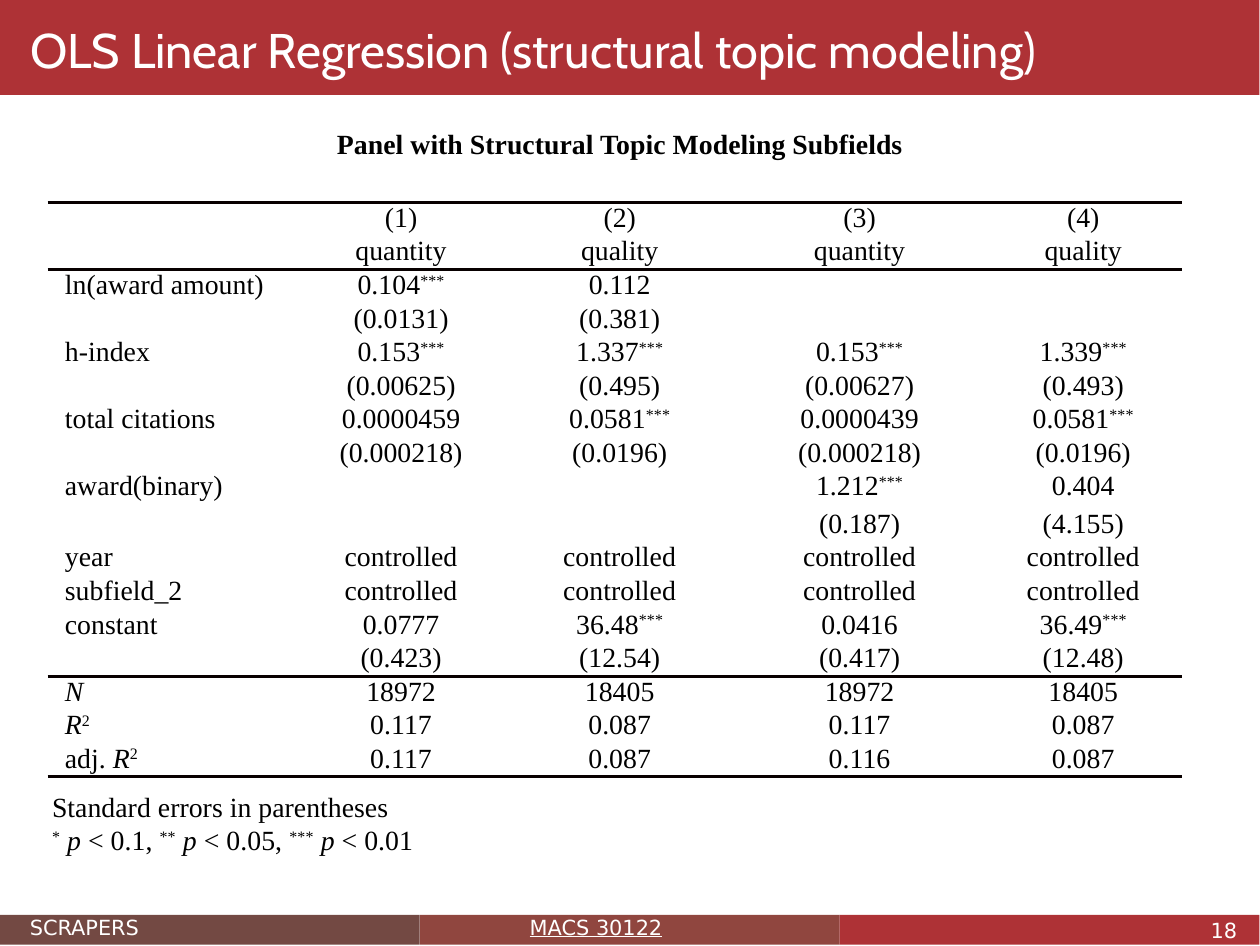
from lxml import etree
from pptx import Presentation
from pptx.dml.color import RGBColor
from pptx.enum import shapes, text
from pptx.oxml.ns import qn
from pptx.util import Inches, Pt

WHITE, BLACK, RULE, RED = "FFFFFF", "000000", "080000", "AE3236"
SERIF, SANS, TITLE_FONT = "Times New Roman", "DejaVu Sans", "Cabin"
NO_GRID_STYLE = "{2D5ABB26-0587-4C30-8999-92F81FD0307C}"
FOOTER_FILLS = ["734943", "90463F", RED]
COLUMN_WIDTHS = [1, 0.83, 0.92, 1, 0.79]
ROW_HEIGHT, TALL_ROW_HEIGHT, TALL_ROW = 2.15 / 16, 0.15, 8
RULED_ROWS = [0, 2, 14, 17]
RAISED, ITALIC, BREAK = "^", "/", "|"

CONTROLLED = ["controlled"] * 4
RESULTS = [
    ["", "(1)", "(2)", "(3)", "(4)"],
    ["", "quantity", "quality", "quantity", "quality"],
    ["ln(award amount)", "0.104|^***", "0.112", "", ""],
    ["", "(0.0131)", "(0.381)", "", ""],
    ["h-index", "0.153|^***", "1.337|^***", "0.153|^***", "1.339|^***"],
    ["", "(0.00625)", "(0.495)", "(0.00627)", "(0.493)"],
    ["total citations", "0.0000459", "0.0581|^***", "0.0000439", "0.0581|^***"],
    ["", "(0.000218)", "(0.0196)", "(0.000218)", "(0.0196)"],
    ["award(binary)", "", "", "1.212|^***", "0.404"],
    ["", "", "", "(0.187)", "(4.155)"],
    ["year", *CONTROLLED],
    ["subfield_2", *CONTROLLED],
    ["constant", "0.0777", "36.48|^***", "0.0416", "36.49|^***"],
    ["", "(0.423)", "(12.54)", "(0.417)", "(12.48)"],
    ["/N", "18972", "18405", "18972", "18405"],
    ["/R|^2", "0.117", "0.087", "0.117", "0.087"],
    ["adj. |/R|^2", "0.117", "0.087", "0.116", "0.087"],
]
NOTES = [
    "Standard errors in parentheses",
    "^*| |/p| < 0.1, |^**| |/p| < 0.05, |^***| |/p| < 0.01",
]


def color(value):
    return RGBColor.from_string(value)


def write(paragraph, markup, size, font, fill, bold=None, underline=None):
    for piece in markup.split(BREAK):
        run = paragraph.add_run()
        run.text = piece.lstrip(RAISED + ITALIC)
        run.font.size = Pt(size)
        run.font.name = font
        run.font.color.rgb = color(fill)
        run.font.bold = bold
        run.font.underline = underline
        if piece.startswith(ITALIC):
            run.font.italic = True
        if piece.startswith(RAISED):
            run.font._element.set("baseline", "30000")


def add_band(slide, left, top, width, height, fill):
    band = slide.shapes.add_shape(
        shapes.MSO_SHAPE.RECTANGLE,
        Inches(left), Inches(top), Inches(width), Inches(height))
    band.shadow.inherit = False
    band.fill.solid()
    band.fill.fore_color.rgb = color(fill)
    band.line.fill.background()


def add_text(slide, box, lines, size, font, fill, margins=(0.01, 0.03, 0, 0),
             align=text.PP_ALIGN.LEFT, anchor=text.MSO_ANCHOR.TOP, **style):
    shape = slide.shapes.add_textbox(*map(Inches, box))
    frame = shape.text_frame
    frame.word_wrap = True
    frame.vertical_anchor = anchor
    (frame.margin_left, frame.margin_top,
     frame.margin_right, frame.margin_bottom) = map(Inches, margins)
    for index, line in enumerate(lines):
        paragraph = frame.add_paragraph() if index else frame.paragraphs[0]
        paragraph.alignment = align
        write(paragraph, line, size, font, fill, **style)


def set_border(cell, side, ruled):
    properties = cell._tc.get_or_add_tcPr()
    line = etree.SubElement(properties, qn(f"a:{side}"), w=str(Pt(1)))
    if ruled:
        fill = etree.SubElement(line, qn("a:solidFill"))
        etree.SubElement(fill, qn("a:srgbClr"), val=RULE)
    else:
        etree.SubElement(line, qn("a:noFill"))


def fill_cell(cell, markup, row, column):
    cell.margin_left = cell.margin_right = Inches(0.07)
    cell.margin_top = cell.margin_bottom = 0
    paragraph = cell.text_frame.paragraphs[0]
    if column:
        paragraph.alignment = text.PP_ALIGN.CENTER
    if markup:
        write(paragraph, markup, 8, SERIF, BLACK)
    else:
        etree.SubElement(paragraph._p, qn("a:endParaRPr"), sz="800")
    set_border(cell, "lnT", row in RULED_ROWS)
    set_border(cell, "lnB", row + 1 in RULED_ROWS)
    cell.fill.background()


def add_results(slide):
    height = ROW_HEIGHT * (len(RESULTS) - 1) + TALL_ROW_HEIGHT
    table = slide.shapes.add_table(
        len(RESULTS), len(COLUMN_WIDTHS), Inches(0.19), Inches(0.81),
        Inches(sum(COLUMN_WIDTHS)), Inches(height)).table
    table.first_row = table.horz_banding = False
    table._tbl.tblPr.find(qn("a:tableStyleId")).text = NO_GRID_STYLE
    for column, width in zip(table.columns, COLUMN_WIDTHS):
        column.width = Inches(width)
    for row, values in enumerate(RESULTS):
        table.rows[row].height = Inches(
            TALL_ROW_HEIGHT if row == TALL_ROW else ROW_HEIGHT)
        for column, markup in enumerate(values):
            fill_cell(table.cell(row, column), markup, row, column)


def add_footer(slide):
    for index, fill in enumerate(FOOTER_FILLS):
        add_band(slide, 1.68 * index, 3.66, 1.68, 0.12, fill)
    add_text(slide, (0.11, 3.63, 1.46, 0.13), ["SCRAPERS"], 6, SANS, WHITE)
    add_text(slide, (2.11, 3.63, 0.82, 0.13), ["MACS 30122"], 6, SANS, WHITE,
             underline=True)
    add_text(slide, (4.75, 3.64, 0.2, 0.13), ["18"], 6, SANS, WHITE,
             align=text.PP_ALIGN.RIGHT, anchor=text.MSO_ANCHOR.MIDDLE)


def main():
    presentation = Presentation()
    presentation.slide_width = Pt(363)
    presentation.slide_height = Pt(272.5)
    slide = presentation.slides.add_slide(presentation.slide_layouts[6])
    body_margins = (0.1, 0.05, 0.1, 0.05)

    add_band(slide, 0, 0, 5.04, 0.38, RED)
    add_text(slide, (0.1, 0.07, 4.42, 0.25),
             ["OLS Linear Regression (structural topic modeling)"],
             14, TITLE_FONT, WHITE, margins=(0.02, 0.01, 0, 0))
    add_text(slide, (1.25, 0.46, 2.55, 0.18),
             ["Panel with Structural Topic Modeling Subfields"],
             8, SERIF, BLACK, margins=body_margins, bold=True)
    add_results(slide)
    add_text(slide, (0.11, 3.11, 2.28, 0.32), NOTES, 8, SERIF, BLACK,
             margins=body_margins)
    add_footer(slide)
    presentation.save("out.pptx")


if __name__ == "__main__":
    main()
